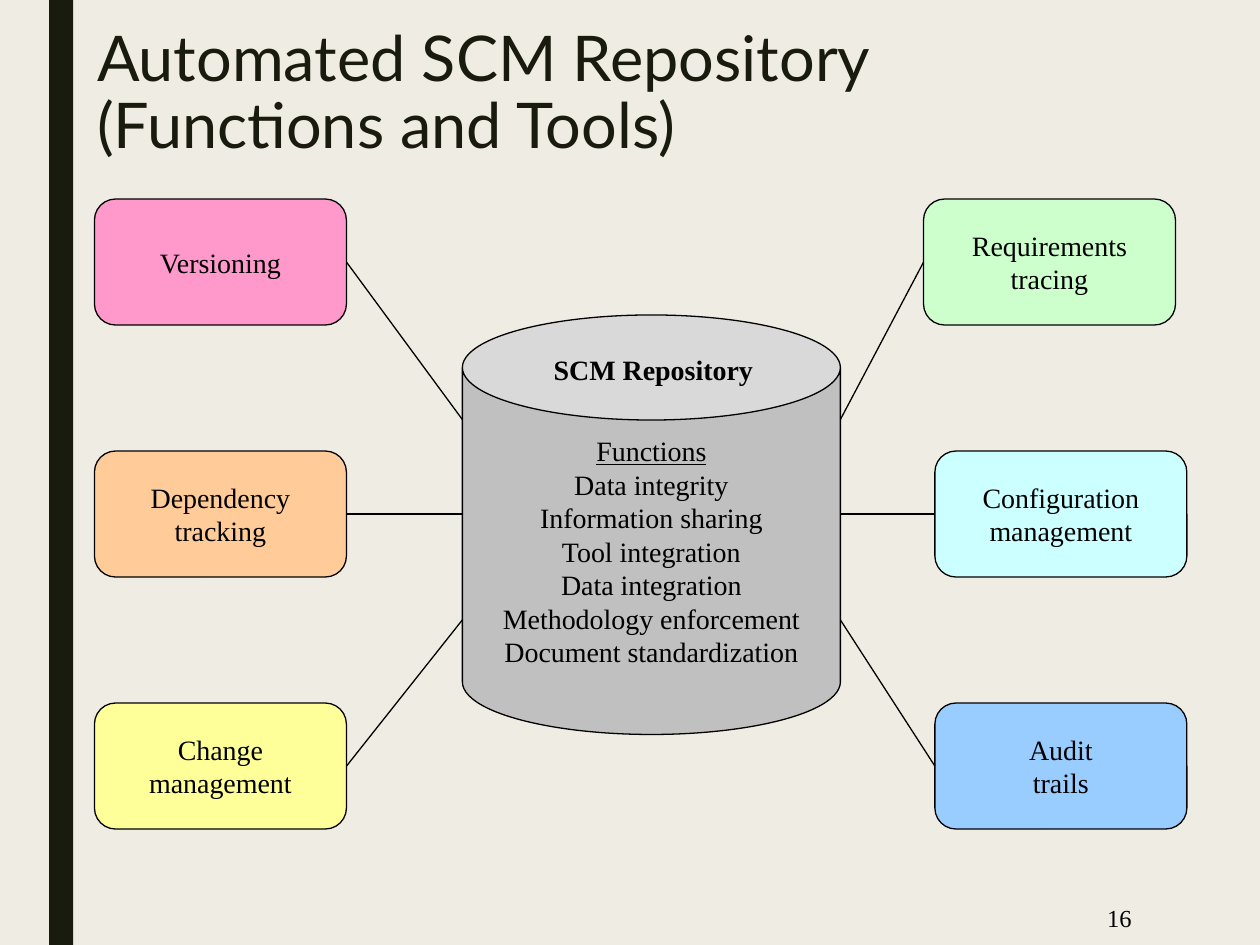
from dataclasses import dataclass

from lxml.etree import SubElement
from pptx import Presentation
from pptx.dml.color import RGBColor
from pptx.enum.shapes import MSO_CONNECTOR, MSO_SHAPE
from pptx.enum.text import MSO_ANCHOR, MSO_AUTO_SIZE, PP_ALIGN
from pptx.oxml.ns import qn
from pptx.util import Inches, Pt

BACKGROUND = RGBColor(0xEF, 0xED, 0xE3)
DARK = RGBColor(0x19, 0x1B, 0x0E)
BLACK = RGBColor(0, 0, 0)
GRAY = RGBColor(0xC0, 0xC0, 0xC0)
PINK = RGBColor(0xFF, 0x99, 0xCC)
ORANGE = RGBColor(0xFF, 0xCC, 0x99)
YELLOW = RGBColor(0xFF, 0xFF, 0x99)
GREEN = RGBColor(0xCC, 0xFF, 0xCC)
CYAN = RGBColor(0xCC, 0xFF, 0xFF)
BLUE = RGBColor(0x99, 0xCC, 0xFF)

BODY_FONT = "Times New Roman"
BOX_W, BOX_H = 2, 1
ROW_TOPS = (1.58, 3.58, 5.58)
JOIN_YS = (3.33, 4.08, 4.92)
CAN_LEFT, CAN_TOP, CAN_W, CAN_H = 3.67, 2.5, 3, 3.33
SITE_LEFT, SITE_RIGHT = 1, 3


@dataclass
class Tool:
    lines: tuple[str, ...]
    left: float
    row: int
    color: RGBColor


TOOLS = (
    Tool(("Versioning",), 0.75, 0, PINK),
    Tool(("Dependency", "tracking"), 0.75, 1, ORANGE),
    Tool(("Change", "management"), 0.75, 2, YELLOW),
    Tool(("Requirements", "tracing"), 7.33, 0, GREEN),
    Tool(("Configuration", "management"), 7.42, 1, CYAN),
    Tool(("Audit", "trails"), 7.42, 2, BLUE),
)
FUNCTIONS = (
    "Functions",
    "Data integrity",
    "Information sharing",
    "Tool integration",
    "Data integration",
    "Methodology enforcement",
    "Document standardization",
)


def write_lines(shape, lines: tuple[str, ...], size: int = 16,
                align=PP_ALIGN.CENTER, anchor=MSO_ANCHOR.MIDDLE):
    tf = shape.text_frame
    tf.word_wrap = False
    tf.vertical_anchor = anchor
    tf.text = "\n".join(lines)
    for p in tf.paragraphs:
        p.alignment = align
        p.font.name = BODY_FONT
        p.font.size = Pt(size)
        p.font.color.rgb = BLACK
    return tf


def add_outlined(s, kind, left: float, top: float, width: float, height: float,
                 adjustment: float, color: RGBColor):
    sp = s.shapes.add_shape(kind, Inches(left), Inches(top), Inches(width), Inches(height))
    sp.shadow.inherit = False
    sp.adjustments[0] = adjustment
    sp.fill.solid()
    sp.fill.fore_color.rgb = color
    sp.line.color.rgb = BLACK
    sp.line.width = Pt(0.75)
    return sp


def add_tool(s, tool: Tool) -> None:
    top = ROW_TOPS[tool.row]
    box = add_outlined(s, MSO_SHAPE.ROUNDED_RECTANGLE, tool.left, top,
                       BOX_W, BOX_H, 0.167, tool.color)
    write_lines(box, tool.lines)
    on_left = tool.left < CAN_LEFT
    start_x = tool.left + BOX_W if on_left else tool.left
    end_x = CAN_LEFT if on_left else CAN_LEFT + CAN_W
    line = s.shapes.add_connector(
        MSO_CONNECTOR.STRAIGHT, Inches(start_x), Inches(top + BOX_H / 2),
        Inches(end_x), Inches(JOIN_YS[tool.row]))
    line.begin_connect(box, SITE_RIGHT if on_left else SITE_LEFT)
    line.line.color.rgb = BLACK
    line.line.width = Pt(0.75)
    SubElement(line._element.spPr, qn("a:effectLst"))


def add_title(s) -> None:
    title = s.shapes.title
    title.left, title.top = Inches(0.67), Inches(0.17)
    title.width, title.height = Inches(8.5), Inches(1.25)
    tf = title.text_frame
    tf.auto_size = MSO_AUTO_SIZE.NONE
    tf.vertical_anchor = MSO_ANCHOR.TOP
    tf.text = "Automated SCM Repository\v(Functions and Tools)"
    p = tf.paragraphs[0]
    p.alignment = PP_ALIGN.LEFT
    p.line_spacing = 0.89
    p.font.name = "Lato"
    p.font.size = Pt(36)
    p.font.color.rgb = DARK


def add_repository(s) -> None:
    can = add_outlined(s, MSO_SHAPE.CAN, CAN_LEFT, CAN_TOP, CAN_W, CAN_H, 0.278, GRAY)
    tf = write_lines(can, FUNCTIONS)
    tf.paragraphs[0].font.underline = True
    label = s.shapes.add_textbox(Inches(4.29), Inches(2.75), Inches(1.79), Inches(0.37))
    tf = write_lines(label, ("SCM Repository",), anchor=MSO_ANCHOR.TOP)
    tf.auto_size = MSO_AUTO_SIZE.SHAPE_TO_FIT_TEXT
    tf.paragraphs[0].font.bold = True


def main() -> None:
    prs = Presentation()
    prs.slide_width, prs.slide_height = Inches(10), Inches(7.5)
    s = prs.slides.add_slide(prs.slide_layouts[5])
    s.background.fill.solid()
    s.background.fill.fore_color.rgb = BACKGROUND

    bar = s.shapes.add_shape(MSO_SHAPE.RECTANGLE, Inches(0.39), 0,
                             Inches(0.19), prs.slide_height)
    bar.shadow.inherit = False
    bar.fill.solid()
    bar.fill.fore_color.rgb = DARK
    bar.line.fill.background()

    add_title(s)
    number = s.shapes.add_textbox(Inches(7.77), Inches(7.06), Inches(1.31), Inches(0.44))
    tf = write_lines(number, ("16",), 14, PP_ALIGN.RIGHT)
    tf.word_wrap = True
    add_repository(s)
    for tool in TOOLS:
        add_tool(s, tool)

    prs.save("out.pptx")


if __name__ == "__main__":
    main()
